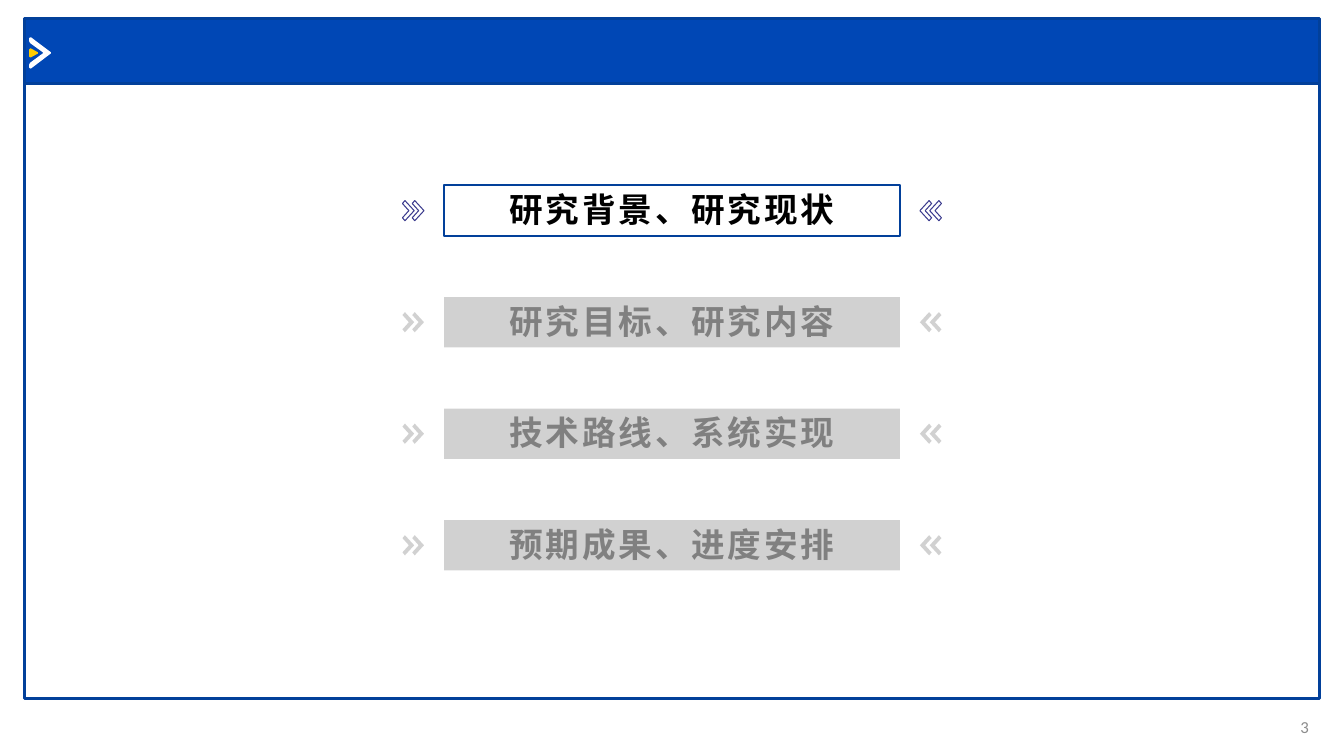
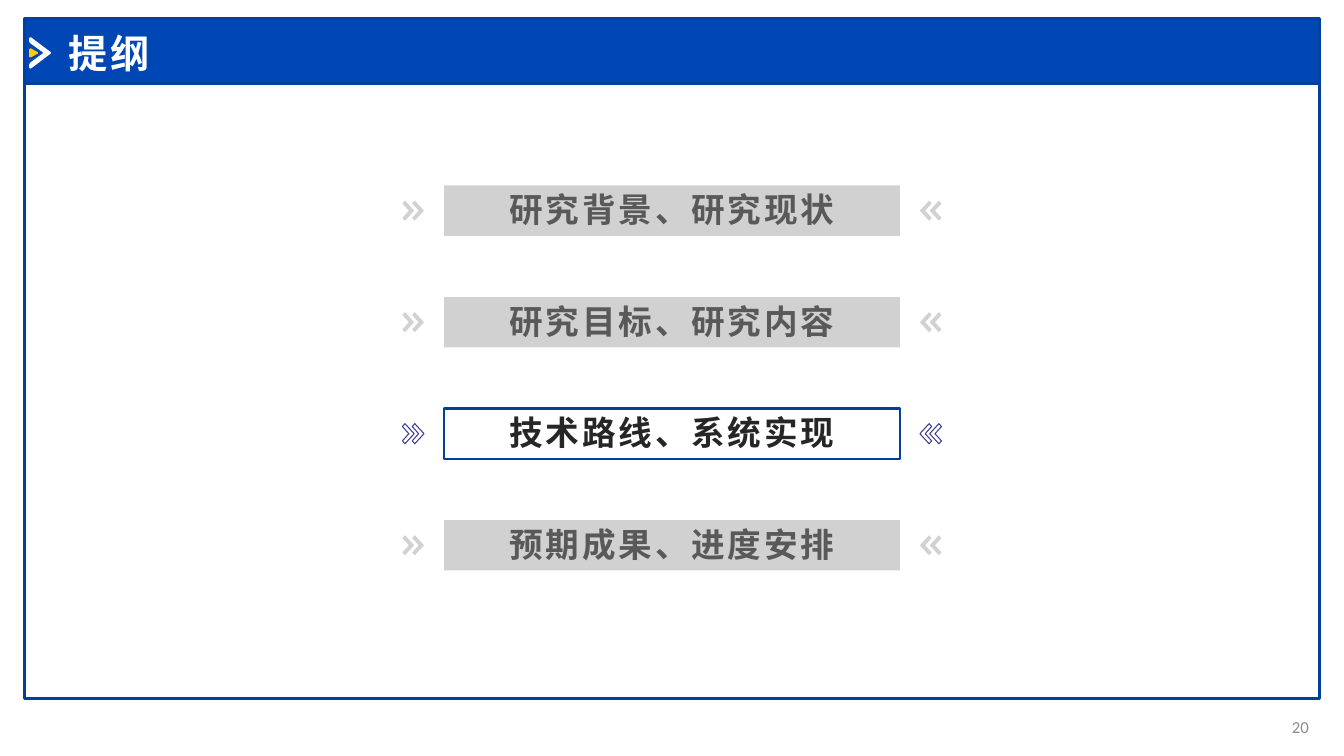
from lxml.etree import SubElement
from pptx import Presentation
from pptx.dml.color import RGBColor
from pptx.enum.shapes import MSO_SHAPE
from pptx.enum.text import MSO_ANCHOR, MSO_AUTO_SIZE, PP_ALIGN
from pptx.oxml.ns import qn
from pptx.util import Pt

BAND_BLUE = RGBColor(0x00, 0x47, 0xB5)
BORDER_BLUE = RGBColor(0x02, 0x40, 0x9A)
CHEVRON_BLUE = RGBColor(0x3C, 0x3C, 0x8E)
YELLOW = RGBColor(0xFF, 0xCC, 0x00)
WHITE = RGBColor(0xFF, 0xFF, 0xFF)
BLACK = RGBColor(0x00, 0x00, 0x00)
NEAR_BLACK = RGBColor(0x26, 0x26, 0x26)
DARK_GRAY = RGBColor(0x59, 0x59, 0x59)
MID_GRAY = RGBColor(0x80, 0x80, 0x80)
MUTED_FILL = RGBColor(0xA5, 0xA5, 0xA5)
NUMBER_GRAY = RGBColor(0x8C, 0x8C, 0x8C)

LATIN_FONT = "Calibri"
CHINESE_FONT = "Noto Sans CJK SC"

SLIDE_WIDTH, SLIDE_HEIGHT = 960, 540
FRAME_BOX = (17.25, 13.5, 925.5, 485.5)
BAND_HEIGHT = 46
TITLE_BOX = (41.75, 17.25, 795, 41)
NUMBER_BOX = (885, 504.75, 57, 28.75)
AGENDA_BOX = (287.5, 132.5, 385, 275)

TOPICS = ["研究背景、研究现状", "研究目标、研究内容", "技术路线、系统实现", "预期成果、进度安排"]
TOPIC_HEIGHT = 36
TOPIC_INDENT = 29.75

CHEVRON_HEIGHT = 14.4
CHEVRON_STEP = 7
CHEVRON_POINTS = [(1.8, 0), (0, 2.1), (4.6, 7.2), (0, 12.3), (1.8, 14.4), (8.4, 7.2)]
POINTER_POINTS = [(0.6, 0), (1.4, 0.1), (15.5, 10.7), (15.5, 11.5), (1.4, 22.2), (0.6, 22.3),
                  (0, 21.6), (0, 19.4), (0.6, 18.2), (9.7, 11.5), (9.7, 10.7), (0.6, 4.1),
                  (0, 2.9), (0, 0.7)]
POINTER_CORE_POINTS = [(0.7, 0), (1.3, 0.1), (6.2, 2.8), (6.2, 3.7), (1.3, 6.4), (0.7, 6.5),
                       (0, 5.8), (0, 0.7)]


def paint(shape, fill=None, line=None, line_width=1, opacity=None):
    shape.shadow.inherit = False
    if fill is None:
        shape.fill.background()
    else:
        shape.fill.solid()
        shape.fill.fore_color.rgb = fill
        if opacity is not None:
            color = shape.element.spPr.find(qn("a:solidFill"))[0]
            SubElement(color, qn("a:alpha")).set("val", str(opacity * 1000))
    if line is None:
        shape.line.fill.background()
    else:
        shape.line.color.rgb = line
        shape.line.width = Pt(line_width)


def add_rectangle(shapes, box, **style):
    shape = shapes.add_shape(MSO_SHAPE.RECTANGLE, *map(Pt, box))
    paint(shape, **style)
    return shape


def add_outline(shapes, left, top, points, direction=1, **style):
    vertices = [(Pt(left + direction * x), Pt(top + y)) for x, y in points]
    builder = shapes.build_freeform(*vertices[0], scale=1.0)
    builder.add_line_segments(vertices[1:], close=True)
    paint(builder.convert_to_shape(), **style)


def write_text(shape, text, *, size, color, font=LATIN_FONT, bold=False, spacing=0,
               align=PP_ALIGN.LEFT, bottom=3.6):
    frame = shape.text_frame
    frame.word_wrap = True
    frame.auto_size = MSO_AUTO_SIZE.NONE
    frame.vertical_anchor = MSO_ANCHOR.MIDDLE
    frame.margin_bottom = Pt(bottom)
    paragraph = frame.paragraphs[0]
    paragraph.alignment = align
    run = paragraph.add_run()
    run.text = text
    run.font.size = Pt(size)
    run.font.bold = bold
    run.font.color.rgb = color
    run.font.name = font
    properties = run.font._element
    properties.set("spc", str(spacing * 100))
    SubElement(properties, qn("a:ea")).set("typeface", CHINESE_FONT)


def add_frame(slide, box):
    left, top, width, height = box
    shapes = slide.shapes.add_group_shape().shapes
    add_rectangle(shapes, (left, top + BAND_HEIGHT, width, height - BAND_HEIGHT),
                  line=BORDER_BLUE, line_width=2)
    add_rectangle(shapes, (left, top, width, BAND_HEIGHT),
                  fill=BAND_BLUE, line=BORDER_BLUE, line_width=2)
    middle = top + BAND_HEIGHT / 2 + 1.3
    add_outline(shapes, left + 3.6, middle - 11.15, POINTER_POINTS, fill=WHITE)
    add_outline(shapes, left + 3.6, middle - 3.25, POINTER_CORE_POINTS, fill=YELLOW)


def add_title(slide, box, text):
    title = slide.shapes.title
    title.left, title.top, title.width, title.height = map(Pt, box)
    title.element.getparent().append(title.element)
    write_text(title, text, size=28, color=WHITE, bold=True, spacing=2)


def add_page_number(slide, box, number):
    text_box = slide.shapes.add_textbox(*map(Pt, box))
    write_text(text_box, str(number), size=12, color=NUMBER_GRAY, align=PP_ALIGN.RIGHT)


def add_topic(slide, box, text, active, color):
    left, top, width, height = box
    shapes = slide.shapes.add_group_shape().shapes
    muted = {"fill": MUTED_FILL, "opacity": 50}
    bar_style = {"line": BORDER_BLUE, "line_width": 1.5} if active else muted
    chevron_style = {"line": CHEVRON_BLUE, "line_width": 0.75} if active else muted
    bar = add_rectangle(shapes, (left + TOPIC_INDENT, top, width - 2 * TOPIC_INDENT, height),
                        **bar_style)
    write_text(bar, text, size=24, color=color, font=CHINESE_FONT, bold=True, spacing=2,
               align=PP_ALIGN.CENTER, bottom=5.6)
    chevron_top = top + (height - CHEVRON_HEIGHT) / 2
    for edge, direction in ((left, 1), (left + width, -1)):
        for index in range(2):
            add_outline(shapes, edge + direction * index * CHEVRON_STEP, chevron_top,
                        CHEVRON_POINTS, direction, **chevron_style)


def add_agenda(slide, box, active_index, active_color, muted_color):
    left, top, width, height = box
    pitch = (height - TOPIC_HEIGHT) / (len(TOPICS) - 1)
    for index, topic in enumerate(TOPICS):
        active = index == active_index
        add_topic(slide, (left, top + index * pitch, width, TOPIC_HEIGHT), topic, active,
                  active_color if active else muted_color)


def add_agenda_slide(presentation, number, active_index, active_color, muted_color, title=None):
    layout = presentation.slide_layouts.get_by_name("Title Only" if title else "Blank")
    slide = presentation.slides.add_slide(layout)
    add_frame(slide, FRAME_BOX)
    add_page_number(slide, NUMBER_BOX, number)
    if title:
        add_title(slide, TITLE_BOX, title)
    add_agenda(slide, AGENDA_BOX, active_index, active_color, muted_color)


def main():
    presentation = Presentation()
    presentation.slide_width = Pt(SLIDE_WIDTH)
    presentation.slide_height = Pt(SLIDE_HEIGHT)
    add_agenda_slide(presentation, 3, 0, BLACK, MID_GRAY)
    add_agenda_slide(presentation, 20, 2, NEAR_BLACK, DARK_GRAY, title="提纲")
    presentation.save("out.pptx")


if __name__ == "__main__":
    main()
